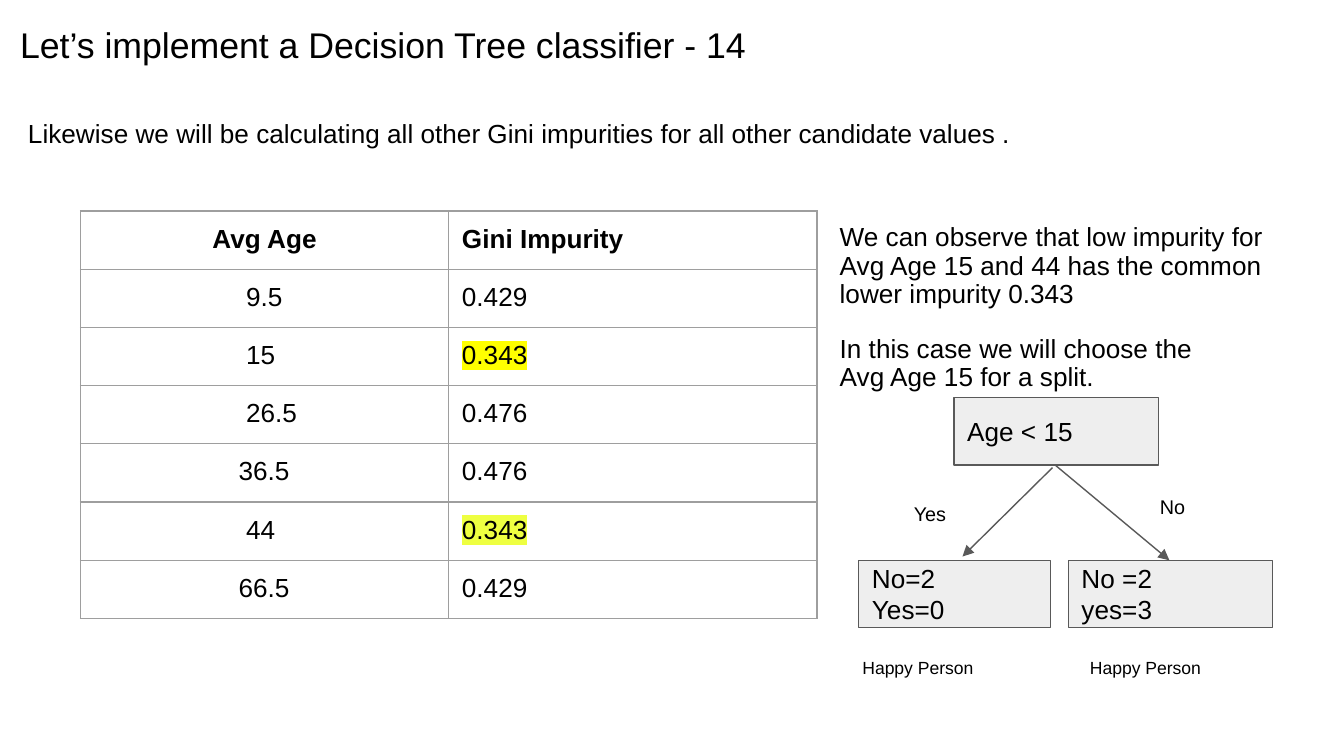
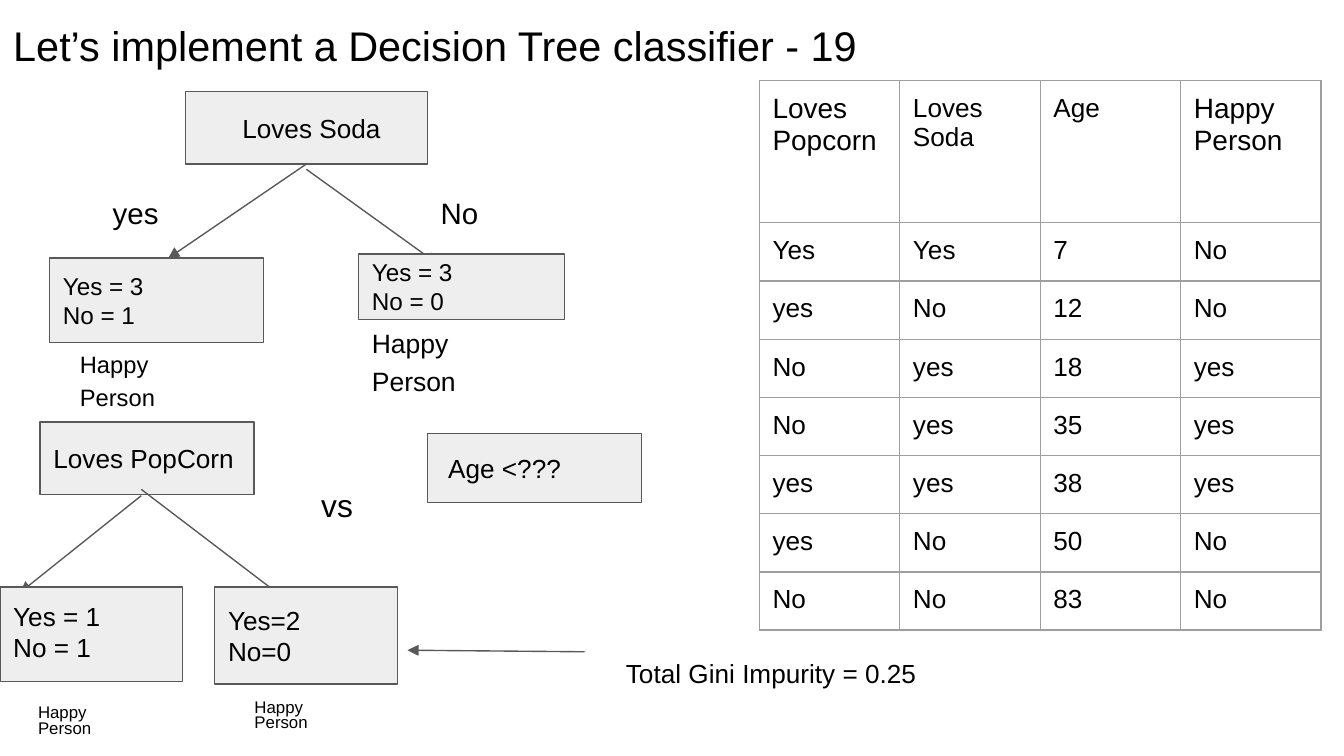
from lxml.etree import SubElement
from pptx import Presentation
from pptx.dml.color import RGBColor
from pptx.enum.shapes import MSO_CONNECTOR as Line, MSO_SHAPE as Shape
from pptx.enum.text import MSO_ANCHOR as Anchor, MSO_AUTO_SIZE as AutoSize, PP_ALIGN as Align
from pptx.oxml.ns import qn
from pptx.util import Cm, Pt

COLOURS = {
    "text": "000000",
    "node": "EEEEEE",
    "edge": "595959",
    "grid": "9E9E9E",
    "first choice": "FFFF00",
    "second choice": "EEFF41",
}
FONT = "Arial"
INSET = 0.25
LINE_WIDTH = 0.75
LINE_HEIGHT = 1.15
ROW_HEIGHT = 1.1
PROCESS, RECT = Shape.FLOWCHART_PROCESS, Shape.RECTANGLE
HAPPY = ["Happy", "Person"]

GINI_SLIDE = {
    "title": ("Let’s implement a Decision Tree classifier - 14", (0.13, 0.18, 23.67, 1.27), 19.1),
    "table": {
        "place": (1.52, 3.99, 13.92),
        "header height": ROW_HEIGHT,
        "rows": [
            ("Avg Age", "Gini Impurity"),
            ("9.5", "0.429"),
            ("15", "0.343"),
            ("26.5", "0.476"),
            ("36.5", "0.476"),
            ("44", "0.343"),
            ("66.5", "0.429"),
        ],
        "formats": {
            (0, 0): {"bold": True, "align": Align.CENTER},
            (0, 1): {"bold": True},
            **{(row, 0): {"indent": 2.74 if row in (4, 6) else 2.88} for row in range(1, 7)},
            (2, 1): {"highlight": "first choice"},
            (5, 1): {"highlight": "second choice"},
        },
    },
    "roots": [(["Age < 15"], (18.03, 7.52, 3.86, 1.27), PROCESS, {})],
    "arrows": [(19.89, 8.84, 18.19, 10.52), (19.94, 8.79, 22.1, 10.59)],
    "leaves": [
        (["No=2", "Yes=0"], (16.23, 10.59, 3.63, 1.27), PROCESS, {}),
        (["No =2", "yes=3"], (20.19, 10.59, 3.86, 1.27), PROCESS, {}),
    ],
    "labels": [
        (["Likewise we will be calculating all other Gini impurities for all other candidate values ."],
         (0.28, 1.96, 22.12, 1.12), {}),
        (["We can observe that low impurity for Avg Age 15 and 44 has the common lower impurity 0.343",
          "In this case we will choose the",
          "Avg Age 15 for a split."],
         (15.62, 3.99, 8.66, 3.94), {"spacing": 0.9, "gap": 1}),
        (["Yes"], (17.02, 9.32, 1.32, 0.71), {"size": 10.6, "spacing": 0.8}),
        (["No"], (21.67, 9.19, 2.13, 0.86), {"size": 10.6, "spacing": 0.8}),
        (["Happy Person"], (16.05, 12.24, 3.86, 0.86), {"size": 9.4, "spacing": 0.8}),
        (["Happy Person"], (20.35, 12.24, 4.09, 0.86), {"size": 9.4, "spacing": 0.8}),
    ],
}

COMPARISON_SLIDE = {
    "title": ("Let’s implement a Decision Tree classifier - 19", (0, 0.13, 23.67, 1.6), 22.2),
    "table": {
        "place": (14.35, 1.52, 10.62),
        "header height": 2.69,
        "rows": [
            ("Loves Popcorn", "Loves Soda", "Age", "Happy Person"),
            ("Yes", "Yes", "7", "No"),
            ("yes", "No", "12", "No"),
            ("No", "yes", "18", "yes"),
            ("No", "yes", "35", "yes"),
            ("yes", "yes", "38", "yes"),
            ("yes", "No", "50", "No"),
            ("No", "No", "83", "No"),
        ],
        "formats": {(0, 0): {"size": 15}, (0, 3): {"size": 15}},
    },
    "roots": [
        (["Loves Soda"], (3.51, 1.73, 4.57, 1.37), RECT, {"indent": 0.82}),
        (["Loves PopCorn"], (0.76, 7.98, 4.04, 1.37), PROCESS, {}),
        (["Age <???"], (8.08, 8.2, 4.04, 1.3), RECT, {"indent": 0.14}),
    ],
    "arrows": [
        (5.79, 3.1, 3.18, 4.88),
        (5.79, 3.2, 8.26, 4.98),
        (2.67, 9.37, 0.38, 11.2),
        (2.67, 9.25, 5.36, 11.3),
        (11.05, 12.32, 7.7, 12.29),
    ],
    "leaves": [
        (["Yes = 3", "No = 1"], (0.94, 4.88, 4.04, 1.6), PROCESS, {"size": 13}),
        (["Yes = 3", "No = 0"], (6.78, 4.8, 3.89, 1.24), PROCESS, {"size": 13}),
        (["Yes=2", "No=0"], (4.06, 11.1, 3.45, 1.83), RECT, {}),
        (["Yes = 1", "No = 1"], (0, 11.1, 3.45, 1.78), RECT, {"anchor": Anchor.TOP}),
    ],
    "labels": [
        (HAPPY, (1.14, 6.55, 3.63, 1.37), {"size": 12.7, "spacing": 0.6, "gap": 1, "indent": 0.12}),
        (HAPPY, (6.78, 6.15, 3.63, 1.5), {"size": 14.2, "spacing": 0.6, "gap": 1}),
        (["yes"], (1.88, 3.56, 1.78, 0.86), {"size": 15.8, "spacing": 0.8}),
        (["No"], (8.08, 3.56, 2.11, 1.04), {"size": 15.8, "spacing": 0.8}),
        (["vs"], (5.82, 8.94, 1.22, 1.24), {"size": 17}),
        (HAPPY, (0.38, 13.21, 2.67, 0.86), {"size": 9, "spacing": 0.4, "gap": 1, "indent": 0.09}),
        (HAPPY, (4.47, 13.11, 2.67, 0.86), {"size": 9, "spacing": 0.4, "gap": 1, "indent": 0.09}),
        (["Total Gini Impurity = 0.25"], (11.58, 12.17, 11.3, 1.83), {}),
    ],
}


def colour(name):
    return RGBColor.from_string(COLOURS[name])


def in_cm(lengths):
    return [Cm(length) for length in lengths]


def set_margins(holder, indent):
    holder.margin_left = Cm(INSET + indent)
    holder.margin_right = holder.margin_top = holder.margin_bottom = Cm(INSET)


def write(frame, lines, size=14, spacing=1, gap=None, bold=False, align=Align.LEFT, highlight=None):
    frame.text = "\n".join(lines)
    for number, paragraph in enumerate(frame.paragraphs):
        paragraph.alignment = align
        if spacing != 1:
            paragraph.line_spacing = spacing
        if number == gap:
            paragraph.space_before = Pt(round(size * LINE_HEIGHT * spacing, 1))
        for run in paragraph.runs:
            run.font.size, run.font.name, run.font.bold = Pt(size), FONT, bold
            run.font.color.rgb = colour("text")
            if highlight:
                properties = run.font._element
                marker = SubElement(properties, qn("a:highlight"))
                SubElement(marker, qn("a:srgbClr"), val=COLOURS[highlight])
                properties.find(qn("a:solidFill")).addnext(marker)


def fill_frame(frame, lines, anchor=Anchor.TOP, indent=0, **style):
    frame.word_wrap = True
    frame.auto_size = AutoSize.NONE
    frame.vertical_anchor = anchor
    set_margins(frame, indent)
    write(frame, lines, **style)


def add_title(slide, text, place, size):
    title = slide.shapes.title
    title.left, title.top, title.width, title.height = in_cm(place)
    fill_frame(title.text_frame, [text], size=size)


def add_node(slide, lines, place, outline, style):
    node = slide.shapes.add_shape(outline, *in_cm(place))
    node.shadow.inherit = False
    node.fill.solid()
    node.fill.fore_color.rgb = colour("node")
    node.line.color.rgb = colour("edge")
    node.line.width = Pt(LINE_WIDTH)
    fill_frame(node.text_frame, lines, **{"anchor": Anchor.MIDDLE, **style})


def add_arrow(slide, ends):
    arrow = slide.shapes.add_connector(Line.STRAIGHT, *in_cm(ends))
    arrow.line.color.rgb = colour("edge")
    arrow.line.width = Pt(LINE_WIDTH)
    SubElement(arrow.line._get_or_add_ln(), qn("a:tailEnd"), type="triangle")
    SubElement(arrow._element.spPr, qn("a:effectLst"))


def add_borders(cell):
    properties = cell._tc.get_or_add_tcPr()
    for position, side in enumerate(("lnL", "lnR", "lnT", "lnB")):
        border = SubElement(properties, qn(f"a:{side}"), w=str(Pt(LINE_WIDTH)))
        SubElement(SubElement(border, qn("a:solidFill")), qn("a:srgbClr"), val=COLOURS["grid"])
        properties.insert(position, border)


def add_grid(slide, content):
    rows = content["rows"]
    left, top, width = content["place"]
    heights = [content["header height"]] + [ROW_HEIGHT] * (len(rows) - 1)
    grid = slide.shapes.add_table(len(rows), len(rows[0]), *in_cm((left, top, width, sum(heights)))).table
    grid.first_row = grid.horz_banding = False
    for column in grid.columns:
        column.width = Cm(width / len(rows[0]))
    for row, values in enumerate(rows):
        grid.rows[row].height = Cm(heights[row])
        for column, value in enumerate(values):
            cell = grid.cell(row, column)
            style = dict(content["formats"].get((row, column), {}))
            set_margins(cell, style.pop("indent", 0))
            write(cell.text_frame, [value], **style)
            cell.fill.background()
            add_borders(cell)


def build_slide(deck, content):
    slide = deck.slides.add_slide(deck.slide_layouts[5])
    add_title(slide, *content["title"])
    add_grid(slide, content["table"])
    for root in content["roots"]:
        add_node(slide, *root)
    for ends in content["arrows"]:
        add_arrow(slide, ends)
    for leaf in content["leaves"]:
        add_node(slide, *leaf)
    for lines, place, style in content["labels"]:
        fill_frame(slide.shapes.add_textbox(*in_cm(place)).text_frame, lines, **style)


def main():
    deck = Presentation()
    deck.slide_width, deck.slide_height = Cm(25.4), Cm(14.29)
    for content in (GINI_SLIDE, COMPARISON_SLIDE):
        build_slide(deck, content)
    deck.save("out.pptx")


if __name__ == "__main__":
    main()
